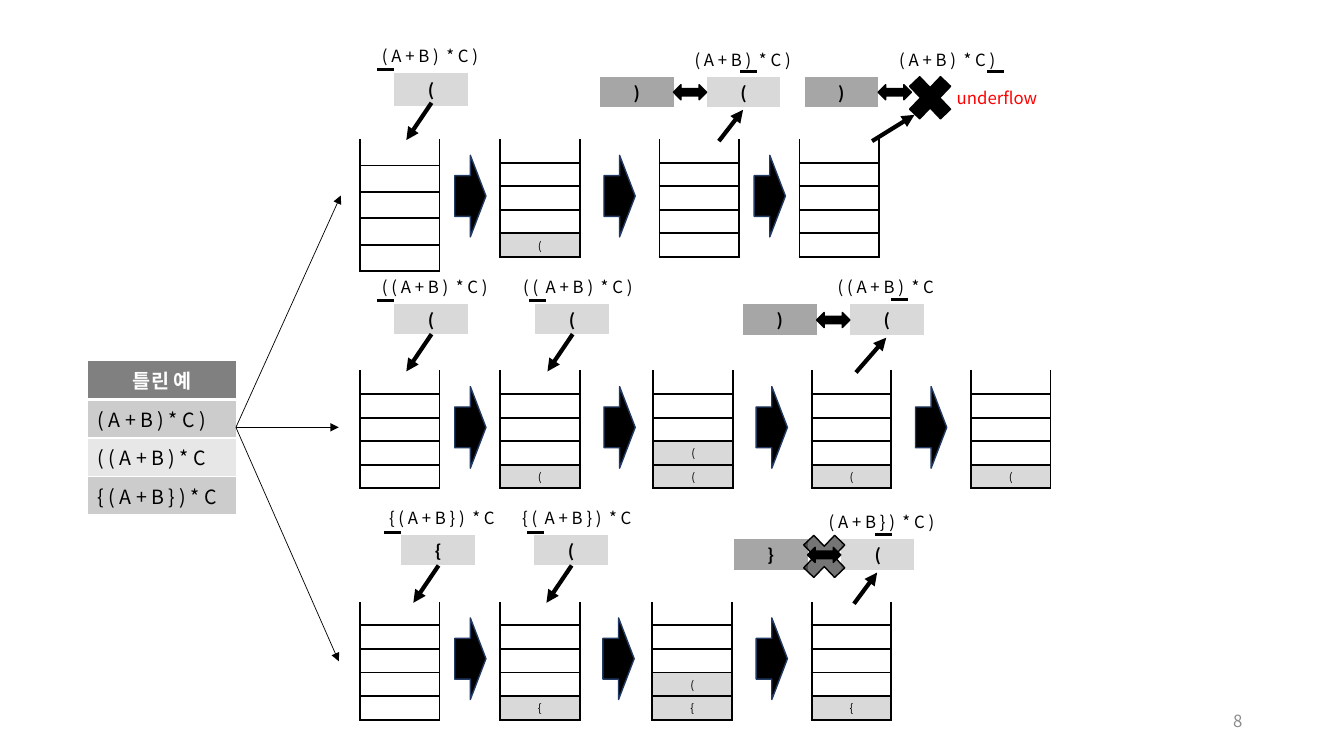
import pptx
import pptx.util
import pptx.dml.color
import pptx.enum.shapes
import pptx.enum.text
import pptx.oxml.ns
import lxml.etree

FONT = "Noto Sans CJK KR"
EXAMPLES = [("틀린 예", "808080"), ("( A + B ) * C )", "CCCCCC"),
            ("( ( A + B ) * C", "E7E7E7"), ("{ ( A + B } ) * C", "CCCCCC")]
ROWS = [
    {"stacks": [(3.57, ""), (4.96, "("), (6.54, ""), (7.93, "")],
     "steps": [4.51, 5.99, 7.48],
     "pushes": [(3.91, "( A + B )  * C )", -0.17, "(")],
     "pops": [(7.01, "( A + B )  * C )", 0.33, ")", "(", 0.12),
              (9.04, "( A + B )  * C )", 0.75, ")", "", -0.39)]},
    {"stacks": [(3.57, ""), (4.96, "("), (6.48, "(("), (8.05, "("), (9.63, "(")],
     "steps": [4.51, 5.99, 7.5, 9.08],
     "pushes": [(3.91, "( ( A + B )  * C )", -0.17, "("),
                (5.31, "( (  A + B )  * C )", -0.06, "(")],
     "pops": [(8.43, "( ( A + B )  * C", 0.41, ")", "(", 0.06)]},
    {"stacks": [(3.57, ""), (4.96, "{"), (6.47, "{("), (8.05, "{")],
     "steps": [4.51, 5.98, 7.5],
     "pushes": [(3.98, "{ ( A + B } )  * C", -0.17, "{"),
                (5.3, "{ (  A + B } )  * C", -0.07, "(")],
     "pops": [(8.34, "( A + B } )  * C )", 0.34, "}", "(", 0.13)]},
]
FIRST_TOP, ROW_STEP, SLOTS = 1.38, 2.295, 5
POP_CARD_TOPS = [0.76, 3.02, 5.35]
BRANCH_ENDS = [(3.38, 1.94), (3.36, 4.24), (3.36, 6.56)]
CARD_W, CARD_H = 0.73, 0.3
SHAPES = pptx.enum.shapes.MSO_SHAPE
ALIGN = pptx.enum.text.PP_ALIGN
MIDDLE = pptx.enum.text.MSO_ANCHOR.MIDDLE
inches = pptx.util.Inches
qn = pptx.oxml.ns.qn


def color(value):
    return pptx.dml.color.RGBColor.from_string(value)


def apply(target, formats):
    for name, value in formats.items():
        setattr(target, name, value)


def write(frame, text, size, ink="000000", bold=False, align=ALIGN.LEFT):
    para = frame.paragraphs[0]
    para.alignment = align
    if not text:
        lxml.etree.SubElement(para._p, qn("a:endParaRPr"), sz=str(size * 100))
        return
    span = para.add_run()
    span.text = text
    apply(span.font, {"size": pptx.util.Pt(size), "name": FONT, "bold": bold})
    span.font.color.rgb = color(ink)
    lxml.etree.SubElement(span._r.get_or_add_rPr(), qn("a:ea"), typeface=FONT)


def add_label(page, x, y, text, width=1.48, height=0.3, **style):
    box = page.shapes.add_textbox(*map(inches, (x, y, width, height)))
    box.text_frame.word_wrap = True
    write(box.text_frame, text, 12, **style)
    return box


def add_line(page, start, end, weight, arrow=True):
    line = page.shapes.add_connector(pptx.enum.shapes.MSO_CONNECTOR.STRAIGHT,
                                     *map(inches, (*start, *end)))
    line.line.color.rgb = color("000000")
    line.line.width = pptx.util.Pt(weight)
    if arrow:
        lxml.etree.SubElement(line.line._get_or_add_ln(), qn("a:tailEnd"), type="triangle")
    lxml.etree.SubElement(line._element.spPr, qn("a:effectLst"))


def add_solid(page, kind, x, y, width, height, edge="000000"):
    shape = page.shapes.add_shape(kind, *map(inches, (x, y, width, height)))
    shape.shadow.inherit = False
    shape.fill.solid()
    shape.fill.fore_color.rgb = color("000000")
    shape.line.color.rgb = color(edge)
    shape.line.width = pptx.util.Pt(1)
    return shape


def add_border(cell, side, ink, weight):
    props = cell._tc.get_or_add_tcPr()
    edge = lxml.etree.SubElement(props, qn("a:ln" + side), w=str(int(weight * 12700)))
    if weight:
        fill = lxml.etree.SubElement(edge, qn("a:solidFill"))
        lxml.etree.SubElement(fill, qn("a:srgbClr"), val=ink)
    else:
        lxml.etree.SubElement(edge, qn("a:noFill"))


def add_column(page, x, y, width, height, cells, size, ink, borders, margin, **style):
    table = page.shapes.add_table(len(cells), 1, *map(inches, (x, y, width, height))).table
    apply(table, {"first_row": False, "horz_banding": False})
    table._tbl.tblPr.find(qn("a:tableStyleId")).text = "{2D5ABB26-0587-4C30-8999-92F81FD0307C}"
    for index, (text, fill) in enumerate(cells):
        cell = table.cell(index, 0)
        table.rows[index].height = inches(height / len(cells))
        apply(cell, {"margin_top": inches(margin), "margin_bottom": inches(margin),
                     "vertical_anchor": MIDDLE})
        for side, weight in zip("LRTB", borders(index)):
            add_border(cell, side, ink, weight)
        cell.fill.solid()
        cell.fill.fore_color.rgb = color(fill)
        look = {"ink": "FFFFFF", "bold": True, "align": ALIGN.CENTER} if fill == "808080" else style
        write(cell.text_frame, text, size, **look)


def add_stack(page, x, y, content, height):
    cells = [("", "FFFFFF")] * (SLOTS - len(content))
    cells += [(symbol, "D9D9D9") for symbol in reversed(content)]
    add_column(page, x, y, 0.79, height, cells, 8, "000000",
               lambda index: (1.5, 1.5, 1.5 if index else 0, 1.5), 0.03, align=ALIGN.CENTER)


def add_card(page, x, y, symbol, fill="D9D9D9", height=CARD_H):
    add_column(page, x, y, CARD_W, height, [(symbol, fill)], 12, "000000",
               lambda index: (0, 0, 0, 0), 0.02, bold=True, align=ALIGN.CENTER)


def add_expression(page, x, y, text, mark, rise):
    add_label(page, x - 0.22, y - 0.32, text)
    add_line(page, (x + mark, y - rise), (x + mark + 0.17, y - rise), 2, arrow=False)


def add_push(page, top, x, text, mark, symbol, height):
    y = top - 0.66
    add_card(page, x, y, symbol, height=height)
    add_line(page, (x + 0.37, y + CARD_H), (x + 0.12, top + 0.01), 3)
    add_expression(page, x, y, text, mark, 0.03)


def add_pop(page, top, y, x, text, mark, closer, opener, start):
    tip = (x + 0.36, y + 0.33) if opener else (x + 0.03, y + 0.38)
    add_line(page, (x + start, top + 0.02), tip, 3)
    if opener:
        add_card(page, x, y, opener)
    add_expression(page, x, y, text, mark, 0.05)
    add_card(page, x - 1.06, y, closer, "A6A6A6")
    add_solid(page, SHAPES.LEFT_RIGHT_ARROW, x - 0.33, y + 0.08, 0.33, 0.15)


def main():
    deck = pptx.Presentation()
    apply(deck, {"slide_width": inches(13.33), "slide_height": inches(7.5)})
    page = deck.slides.add_slide(deck.slide_layouts[6])
    number = add_label(page, 9.42, 6.95, "8", 3, 0.4, ink="8C8C8C", align=ALIGN.RIGHT)
    number.text_frame.vertical_anchor = MIDDLE
    add_column(page, 0.87, 3.58, 1.48, 1.53, EXAMPLES, 14, "FFFFFF",
               lambda index: (1, 1, 3 if index == 1 else 1, 1 if index else 3), 0.05)
    for number, row in enumerate(ROWS):
        top = FIRST_TOP + number * ROW_STEP
        for column, (x, content) in enumerate(row["stacks"]):
            add_stack(page, x, top, content, 1.17 if number or column else 1.31)
        for x in row["steps"]:
            arrow = add_solid(page, SHAPES.RIGHT_ARROW, x, top + 0.16, 0.31, 0.81, "223961")
            arrow.adjustments[0] = arrow.adjustments[1] = 0.5
        for push in row["pushes"]:
            add_push(page, top, *push, CARD_H if number else 0.33)
        for pop in row["pops"]:
            add_pop(page, top, POP_CARD_TOPS[number], *pop)
    add_solid(page, SHAPES.MATH_MULTIPLY, 8.93, 0.66, 0.59, 0.62)
    add_label(page, 9.39, 0.82, "underflow", ink="FF0000")
    mismatch = add_solid(page, SHAPES.MATH_MULTIPLY, 7.88, 5.21, 0.59, 0.62)
    tint = mismatch._element.spPr.find(qn("a:solidFill")).find(qn("a:srgbClr"))
    lxml.etree.SubElement(tint, qn("a:alpha"), val="54000")
    for end in BRANCH_ENDS:
        add_line(page, (2.34, 4.24), end, 0.5)
    deck.save("out.pptx")


if __name__ == "__main__":
    main()
